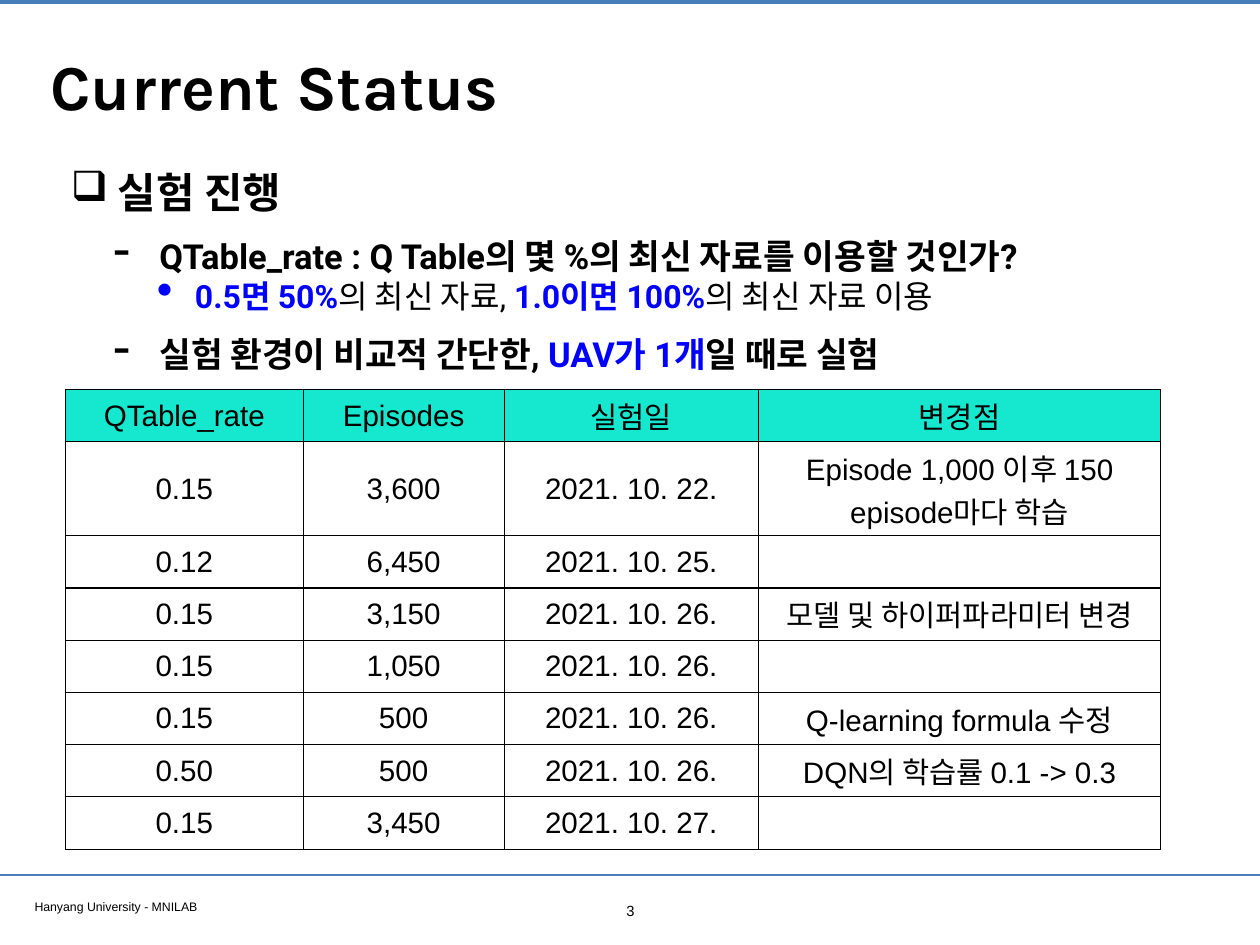
from lxml.etree import SubElement
from pptx import Presentation
from pptx.dml.color import RGBColor
from pptx.enum.shapes import MSO_CONNECTOR as Connector
from pptx.enum.text import MSO_ANCHOR as Anchor, PP_ALIGN as Align
from pptx.oxml.ns import qn
from pptx.util import Inches, Pt

BLACK, BLUE, RULE, TEAL = "000000", "0000FF", "4A7EBB", "16E7CF"


def color(hex_code):
    return RGBColor.from_string(hex_code)


class StatusSlide:
    """Holds the current slide and its shared style."""

    inset = 0.06
    table_font = {"name": "Arial", "size": Pt(24), "bold": False}
    # Outline levels: indent, hanging, bullet, bullet size, paragraph format
    spaced = {"line_spacing": 1.2, "space_before": Pt(8)}
    levels = [
        (0.53, 0.53, "❑", 100, {"line_spacing": 1.2, "space_before": Pt(0)}),
        (1.0, 0.52, "-", 145, spaced),
        (1.4, 0.43, "•", 145, {"space_before": Pt(0)}),
    ]
    level_sizes = [34, 28, 26]

    def __init__(self, presentation):
        self.slide = presentation.slides.add_slide(presentation.slide_layouts[6])

    def rule(self, y, width):
        line = self.slide.shapes.add_connector(
            Connector.STRAIGHT, 0, Inches(y), Inches(14.22), Inches(y))
        line.line.color.rgb = color(RULE)
        line.line.width = Pt(width)
        SubElement(line._element.spPr, qn("a:effectLst"))

    def frame(self, left, top, width, height, anchor=Anchor.TOP):
        box = self.slide.shapes.add_textbox(
            *(Inches(v) for v in (left, top, width, height)))
        frame = box.text_frame
        settings = {"word_wrap": True, "vertical_anchor": anchor}
        for side in ("left", "right", "top", "bottom"):
            settings[f"margin_{side}"] = Inches(self.inset)
        for name, value in settings.items():
            setattr(frame, name, value)
        return frame

    def run(self, paragraph, text, font, hue=BLACK):
        run = paragraph.add_run()
        run.text = text
        for name, value in font.items():
            setattr(run.font, name, value)
        run.font.color.rgb = color(hue)

    def label(self, text, place, font, align=Align.LEFT, anchor=Anchor.TOP):
        paragraph = self.frame(*place, anchor).paragraphs[0]
        paragraph.alignment = align
        self.run(paragraph, text, font)

    def outline(self, place, items):
        frame = self.frame(*place)
        for index, (level, runs) in enumerate(items):
            paragraph = frame.paragraphs[0] if index == 0 else frame.add_paragraph()
            indent, hanging, bullet, percent, layout = self.levels[level]
            props = paragraph._p.get_or_add_pPr()
            props.set("marL", str(Inches(indent)))
            props.set("indent", str(-Inches(hanging)))
            SubElement(props, qn("a:buSzPct"), val=str(percent * 1000))
            SubElement(props, qn("a:buChar"), char=bullet)
            paragraph.level = level
            for name, value in layout.items():
                setattr(paragraph, name, value)
            for text, hue, bold in runs:
                font = {"name": "Roboto", "size": Pt(self.level_sizes[level]), "bold": bold}
                self.run(paragraph, text, font, hue)

    def borders(self, cell):
        props = cell._tc.get_or_add_tcPr()
        for side in ("lnL", "lnR", "lnT", "lnB"):
            line = SubElement(props, qn(f"a:{side}"), w=str(Pt(1)))
            fill = SubElement(line, qn("a:solidFill"))
            SubElement(fill, qn("a:srgbClr"), val=BLACK)

    def table(self, left, top, widths, heights, rows):
        table = self.slide.shapes.add_table(
            len(rows), len(widths), Inches(left), Inches(top),
            Inches(sum(widths)), Inches(sum(heights))).table
        table.first_row = table.horz_banding = False
        for column, width in zip(table.columns, widths):
            column.width = Inches(width)
        for row, height in zip(table.rows, heights):
            row.height = Inches(height)
        for r, texts in enumerate(rows):
            for c, text in enumerate(texts):
                cell = table.cell(r, c)
                self.borders(cell)
                cell.vertical_anchor = Anchor.MIDDLE
                if r == 0:
                    cell.fill.solid()
                    cell.fill.fore_color.rgb = color(TEAL)
                else:
                    cell.fill.background()
                if text:
                    paragraph = cell.text_frame.paragraphs[0]
                    paragraph.alignment = Align.CENTER
                    self.run(paragraph, text, self.table_font)


def main():
    deck = Presentation()
    deck.slide_width, deck.slide_height = Inches(14.22), Inches(10.67)
    status = StatusSlide(deck)

    # Page rules and footer
    status.rule(0.02, 3.2)
    status.rule(9.88, 2)
    status.label("Hanyang University - MNILAB", (0.33, 10.09, 5.46, 0.26),
                 {"name": "Arial", "size": Pt(10)})
    status.label("3", (6.92, 10.12, 0.39, 0.31),
                 {"name": "Arial", "size": Pt(12)}, Align.CENTER)

    # Title
    status.label("Current Status", (0.51, 0.28, 13.21, 1.35),
                 {"name": "Karla", "size": Pt(52), "bold": True}, anchor=Anchor.MIDDLE)

    # Experiment outline
    status.outline((0.74, 1.71, 12.75, 2.79), [
        (0, [("실험 진행", BLACK, True)]),
        (1, [("QTable_rate : Q Table의 몇 %의 최신 자료를 이용할 것인가?", BLACK, True)]),
        (2, [("0.5면 50%", BLUE, True), ("의 최신 자료, ", BLACK, False),
             ("1.0이면 100%", BLUE, True), ("의 최신 자료 이용", BLACK, False)]),
        (1, [("실험 환경이 비교적 간단한, ", BLACK, True), ("UAV가 1개", BLUE, True),
             ("일 때로 실험", BLACK, True)]),
    ])

    # Experiment log
    experiments = [
        ("QTable_rate", "Episodes", "실험일", "변경점"),
        ("0.15", "3,600", "2021. 10. 22.", "Episode 1,000 이후 150 episode마다 학습"),
        ("0.12", "6,450", "2021. 10. 25.", ""),
        ("0.15", "3,150", "2021. 10. 26.", "모델 및 하이퍼파라미터 변경"),
        ("0.15", "1,050", "2021. 10. 26.", ""),
        ("0.15", "500", "2021. 10. 26.", "Q-learning formula 수정"),
        ("0.50", "500", "2021. 10. 26.", "DQN의 학습률 0.1 -> 0.3"),
        ("0.15", "3,450", "2021. 10. 27.", ""),
    ]
    heights = [0.59, 1.06] + [0.59] * 6
    status.table(0.74, 4.4, [2.68, 2.27, 2.87, 4.54], heights, experiments)

    deck.save("out.pptx")


if __name__ == "__main__":
    main()
